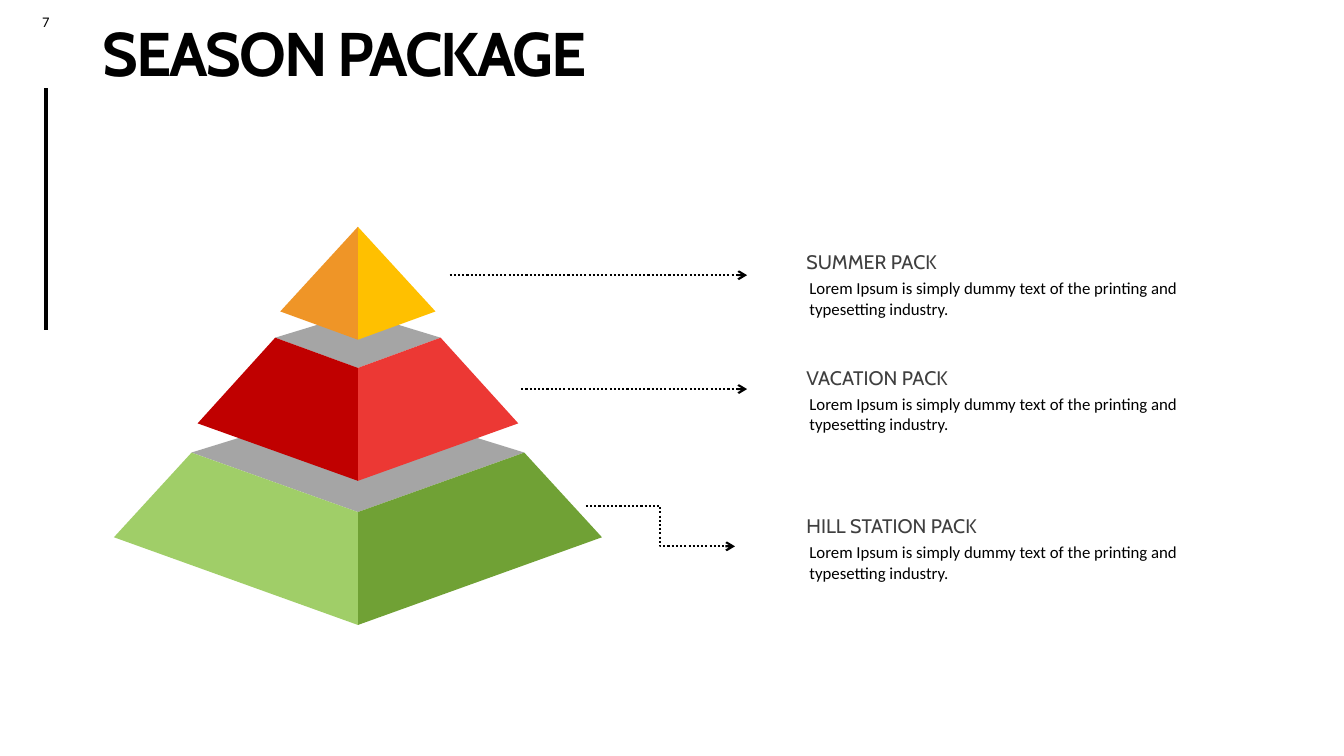
from dataclasses import dataclass

from lxml.etree import SubElement
from pptx import Presentation
from pptx.dml.color import RGBColor
from pptx.enum.dml import MSO_LINE
from pptx.enum.shapes import MSO_CONNECTOR as Link
from pptx.enum.text import MSO_ANCHOR, MSO_AUTO_SIZE, PP_ALIGN
from pptx.oxml.ns import qn
from pptx.util import Pt

# Content
TITLE = "SEASON PACKAGE"
PAGE_NUMBER = "7"
NOTE = "Lorem Ipsum is simply dummy text of the printing and typesetting industry."
PACKS = [("SUMMER PACK", 243), ("VACATION PACK", 358), ("HILL STATION PACK", 505)]

# Pyramid tiers, bottom first: heights on the page and half widths around the axis
AXIS = 355
TIERS = [
    dict(back=398, rim=449, front=508, base=533, foot=620,
         rim_half=165, base_half=242, left="A0CE68", right="70A135"),
    dict(back=310, rim=335, front=365, base=420, foot=477,
         rim_half=82, base_half=159, left="C00000", right="EC3834"),
    dict(back=225, rim=225, front=225, base=309, foot=337,
         rim_half=0, base_half=77, left="EF9527", right="FFC000"),
]
ARROWS = [
    (Link.STRAIGHT, 446, 273, 741, 273),
    (Link.STRAIGHT, 517, 386, 741, 386),
    (Link.ELBOW, 581, 502, 729, 542),
]


@dataclass(frozen=True)
class Theme:
    ink: str = "000000"
    heading: str = "3F3F3F"
    lid: str = "A5A5A5"
    display: str = "Cabin"
    text: str = "Calibri"
    title_size: float = 44
    heading_size: float = 14
    note_size: float = 12
    number_size: float = 10.5


THEME = Theme()
PX = 9144  # 100 px to the inch


def px(*lengths):
    return [length * PX for length in lengths]


def style(para, face, size, color, bold=False):
    font = para.runs[0].font
    font.name, font.size, font.bold = face, Pt(size), bold
    font.color.rgb = RGBColor.from_string(color)


def add_text(page, text, place, face, size, color, align=PP_ALIGN.LEFT):
    box = page.shapes.add_textbox(*px(*place))
    box.text_frame.word_wrap = True
    para = box.text_frame.paragraphs[0]
    para.text, para.alignment = text, align
    style(para, face, size, color)


def add_face(group, points, color):
    outline = group.shapes.build_freeform(*points[0], scale=PX)
    outline.add_line_segments(points[1:], close=True)
    face = outline.convert_to_shape()
    face.shadow.inherit = False
    face.fill.solid()
    face.fill.fore_color.rgb = RGBColor.from_string(color)
    face.line.fill.background()


def add_tier(page, tier):
    group = page.shapes.add_group_shape()
    rim, front = tier["rim"], (AXIS, tier["front"])
    if tier["rim_half"]:
        add_face(group, [(AXIS - tier["rim_half"], rim), (AXIS, tier["back"]),
                         (AXIS + tier["rim_half"], rim), front], THEME.lid)
    for side, sign in (("right", 1), ("left", -1)):
        add_face(group, [front, (AXIS + sign * tier["rim_half"], rim),
                         (AXIS + sign * tier["base_half"], tier["base"]),
                         (AXIS, tier["foot"])], tier[side])


def add_line(page, kind, ends, width):
    line = page.shapes.add_connector(kind, *px(*ends))
    line.line.width = Pt(width)
    line.line.color.rgb = RGBColor.from_string(THEME.ink)
    SubElement(line._element.spPr, qn("a:effectLst"))
    return line


def add_arrow(page, kind, *ends):
    arrow = add_line(page, kind, ends, 1.5)
    arrow.line.dash_style = MSO_LINE.ROUND_DOT
    SubElement(arrow.line._get_or_add_ln(), qn("a:tailEnd"), type="arrow")


def add_title(page):
    title = page.shapes.title
    title.left, title.top, title.width, title.height = px(92, 2, 1150, 108)
    frame = title.text_frame
    frame.text = TITLE
    frame.auto_size = MSO_AUTO_SIZE.NONE
    frame.vertical_anchor = MSO_ANCHOR.MIDDLE
    para = frame.paragraphs[0]
    para.alignment, para.line_spacing = PP_ALIGN.LEFT, 0.9
    style(para, THEME.display, THEME.title_size, THEME.ink, bold=True)
    para.runs[0].font._element.set("spc", "-150")


def main():
    deck = Presentation()
    deck.slide_width, deck.slide_height = px(1333, 750)
    page = deck.slides.add_slide(deck.slide_layouts[5])

    # Page furniture
    add_line(page, Link.STRAIGHT, (46, 327, 46, 87), 3)
    add_text(page, PAGE_NUMBER, (17, 8, 57, 27), THEME.text,
             THEME.number_size, THEME.ink, PP_ALIGN.CENTER)
    add_title(page)

    # Pyramid and arrows
    for tier in TIERS:
        add_tier(page, tier)
    for arrow in ARROWS:
        add_arrow(page, *arrow)

    # Pack descriptions
    for name, top in PACKS:
        add_text(page, NOTE, (793, top + 28, 396, 50), THEME.text,
                 THEME.note_size, THEME.ink)
        add_text(page, name, (790, top, 296, 34), THEME.display,
                 THEME.heading_size, THEME.heading)

    deck.save("out.pptx")


if __name__ == "__main__":
    main()
